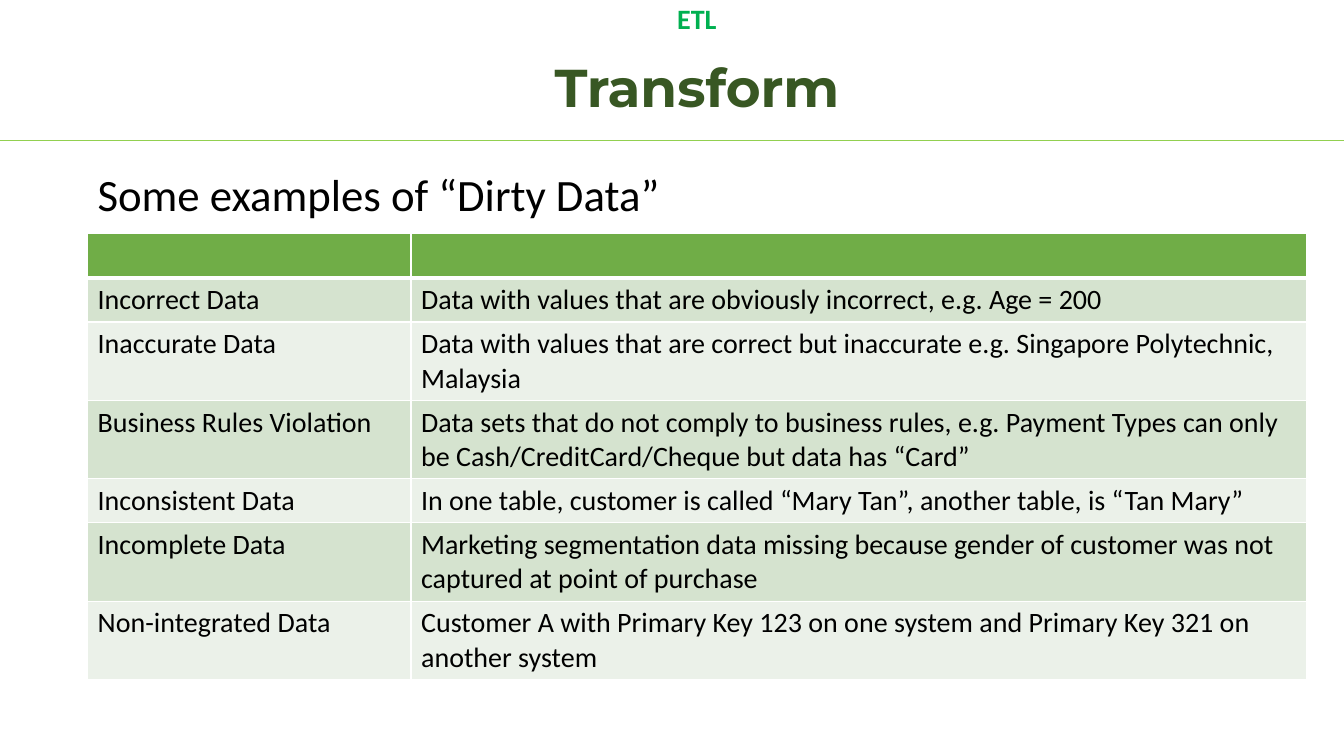
"""Build the Transform slide: a titled table of dirty data examples."""
from dataclasses import dataclass

from lxml import etree
from pptx import Presentation
from pptx.dml.color import RGBColor
from pptx.enum.shapes import MSO_CONNECTOR
from pptx.enum.text import MSO_ANCHOR, MSO_AUTO_SIZE, PP_ALIGN
from pptx.oxml.ns import qn
from pptx.util import Pt

LINE = MSO_CONNECTOR.STRAIGHT
MIDDLE, TOP = MSO_ANCHOR.MIDDLE, MSO_ANCHOR.TOP
FIXED = MSO_AUTO_SIZE.NONE
CENTER, LEFT = PP_ALIGN.CENTER, PP_ALIGN.LEFT


@dataclass(frozen=True)
class Theme:
    """Colours, fonts and type sizes."""
    title: str = "385723"
    topic: str = "00B050"
    text: str = "000000"
    rule: str = "92D050"
    head: str = "70AD47"
    bands: tuple = ("D5E3CF", "EBF1E9")
    edge: str = "FFFFFF"
    face: str = "Calibri"
    display: str = "Montserrat"
    big: int = 38
    lead: int = 32
    small: int = 20


theme = Theme()


def write(frame, text, size, color, face=theme.face, bold=False, align=LEFT):
    """Fill a text frame and format its only paragraph."""
    frame.text = text
    para = frame.paragraphs[0]
    para.alignment = align
    for run in para.runs:
        font = run.font
        font.name, font.size, font.bold = face, Pt(size), bold
        font.color.rgb = RGBColor.from_string(color)
    return para


def border(cell, side, width):
    """Draw one edge of a table cell."""
    edge = etree.SubElement(cell._tc.get_or_add_tcPr(), qn("a:ln" + side), w=str(Pt(width)))
    fill = etree.SubElement(edge, qn("a:solidFill"))
    etree.SubElement(fill, qn("a:srgbClr"), val=theme.edge)


deck = Presentation()
deck.slide_width, deck.slide_height = Pt(960), Pt(540)
slide = deck.slides.add_slide(deck.slide_layouts[1])
shapes = slide.shapes

title, topic = shapes.title, slide.placeholders[1]
heads = (
    (title, "Transform", (62.6, 29.5, 870.5, 70), theme.big, theme.title, theme.display, MIDDLE),
    (topic, "ETL", (188.6, 0, 618.5, 29.5), theme.small, theme.topic, theme.face, TOP),
)
for shape, text, box, size, color, face, anchor in heads:
    shape.left, shape.top, shape.width, shape.height = map(Pt, box)
    frame = shape.text_frame
    frame.auto_size, frame.vertical_anchor = FIXED, anchor
    para = write(frame, text, size, color, face, True, CENTER)
    para.line_spacing = 0.9
props = topic.text_frame.paragraphs[0]._p.get_or_add_pPr()
props.set("marL", "0")
props.set("indent", "0")
etree.SubElement(props, qn("a:buNone"))

rule = shapes.add_connector(LINE, Pt(0), Pt(100), Pt(960), Pt(100))
rule.line.width = Pt(0.5)
rule.line.color.rgb = RGBColor.from_string(theme.rule)
etree.SubElement(rule._element.spPr, qn("a:effectLst"))

lead = shapes.add_textbox(Pt(62.6), Pt(115.2), Pt(420.5), Pt(46))
lead.text_frame.word_wrap = False
write(lead.text_frame, "Some examples of “Dirty Data”", theme.lead, theme.text)

rows = (
    ("", "", 31.5),
    ("Incorrect Data", "Data with values that are obviously incorrect, e.g. Age = 200", 31.5),
    ("Inaccurate Data", "Data with values that are correct but inaccurate e.g. "
     "Singapore Polytechnic, Malaysia", 56),
    ("Business Rules Violation", "Data sets that do not comply to business rules, e.g. "
     "Payment Types can only be Cash/CreditCard/Cheque but data has “Card”", 56),
    ("Inconsistent Data",
     "In one table, customer is called “Mary Tan”, another table, is “Tan Mary”", 31.5),
    ("Incomplete Data", "Marketing segmentation data missing because gender of customer "
     "was not captured at point of purchase", 56),
    ("Non-integrated Data", "Customer A with Primary Key 123 on one system and "
     "Primary Key 321 on another system", 56),
)
high = sum(row[-1] for row in rows)
table = shapes.add_table(len(rows), 2, Pt(62.6), Pt(167), Pt(870.5), Pt(high)).table
for col, width in zip(table.columns, (231, 639.5)):
    col.width = Pt(width)
for i, (*texts, height) in enumerate(rows):
    table.rows[i].height = Pt(height)
    for j, text in enumerate(texts):
        cell = table.cell(i, j)
        para = write(cell.text_frame, text, theme.small, theme.text)
        para.font.size = Pt(theme.small)
        for side in "LRTB":
            heavy = (i, side) in ((0, "B"), (1, "T"))
            border(cell, side, 3 if heavy else 1)
        cell.fill.solid()
        color = theme.bands[(i - 1) % 2] if i else theme.head
        cell.fill.fore_color.rgb = RGBColor.from_string(color)

deck.save("out.pptx")
